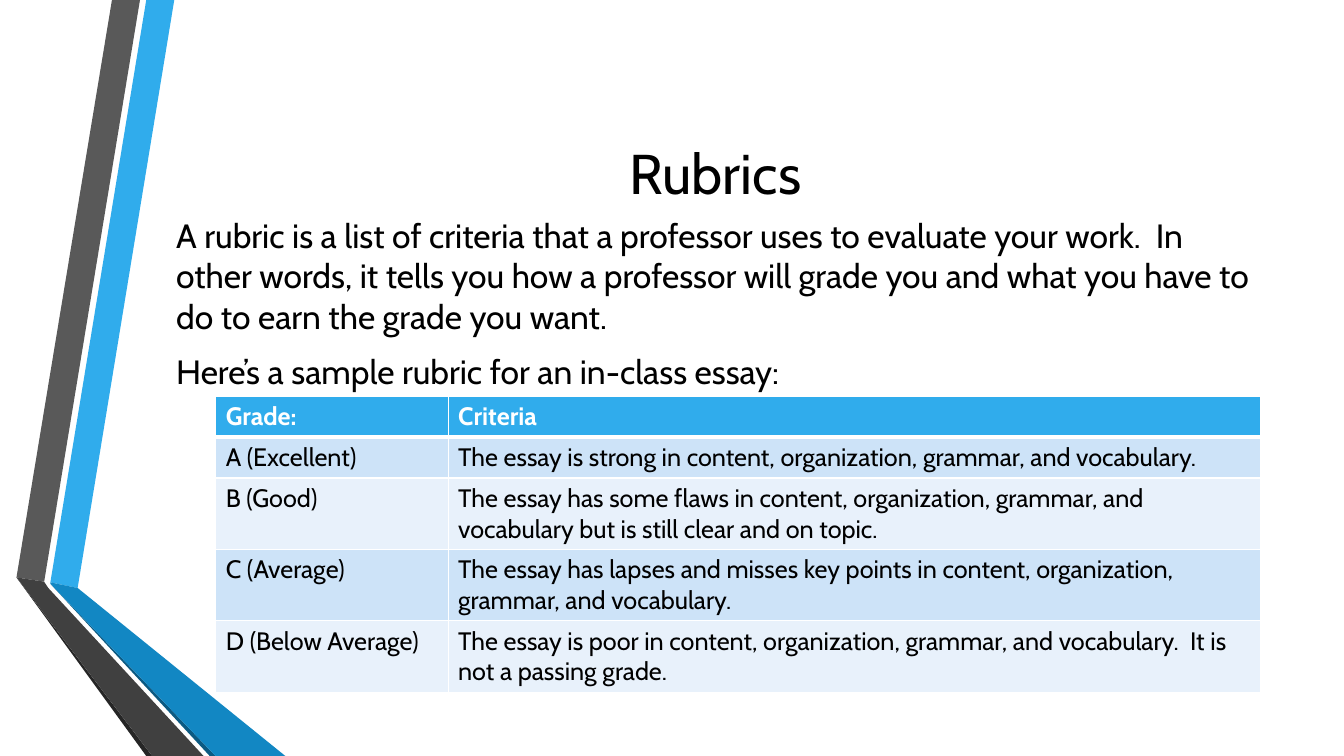
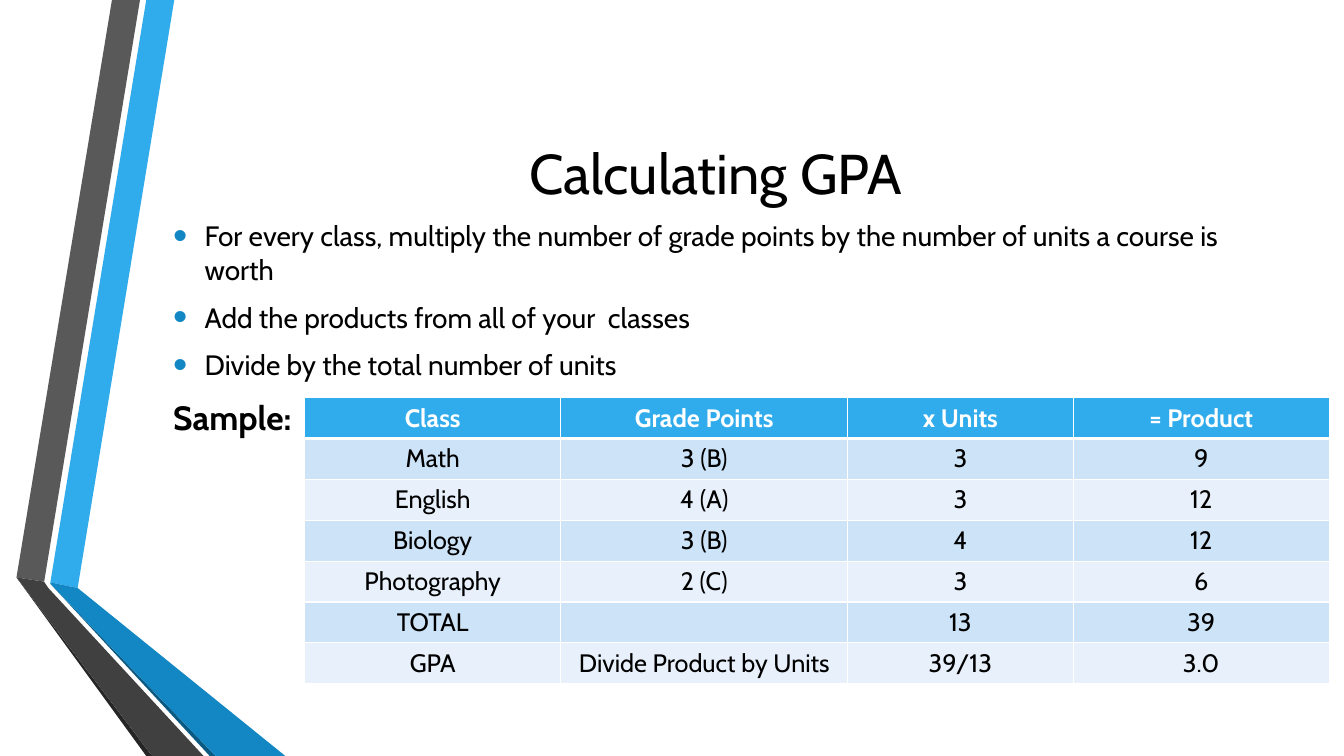
"""Build two slides on grading: a sample rubric and a GPA calculation."""
from lxml.etree import SubElement
from pptx import Presentation
from pptx.dml.color import RGBColor
from pptx.enum.text import MSO_ANCHOR, PP_ALIGN
from pptx.oxml.ns import qn
from pptx.util import Pt

FONT = "Cabin"
COLORS = {
    "text": "000000", "white": "FFFFFF", "blue": "30ACEC", "deep": "1287C3",
    "navy": "0C5A82", "gray": "595959", "charcoal": "404040", "black": "262626",
    "odd": "CDE3F8", "even": "E8F1FB",
}
RIBBONS = [
    ("blue", [(36, 416), (55.5, 420), (124.5, 0), (104.5, 0)]),
    ("gray", [(100, 0), (80, 0), (11.8, 412.5), (31.6, 415.5)]),
    ("black", [(11.8, 412.5), (104.5, 540), (108.7, 540)]),
    ("navy", [(36, 417), (149.8, 540), (154, 540)]),
    ("deep", [(36, 416), (36, 417), (154, 540), (203.8, 540), (55.5, 420)]),
    ("charcoal", [(145.4, 540), (34.5, 420), (31.5, 415.5), (11.8, 412.5), (108.7, 540)]),
]
TITLE_BOX = (116.6, 54, 789, 138)
ROW_HEIGHT, TALL_ROW_HEIGHT = 29.2, 51
PLAIN, BULLET, BOLD = "plain", "bullet", "bold"

SLIDES = [
    {
        "title": "Rubrics",
        "body_box": (118.8, 150, 789, 134),
        "body": [
            (PLAIN, 24, "A rubric is a list of criteria that a professor uses to evaluate your work.  In other words, it tells you how a professor will grade you and what you have to do to earn the grade you want."),
            (PLAIN, 24, "Here’s a sample rubric for an in-class essay:"),
        ],
        "grid_at": (154.1, 283),
        "columns": [166, 580],
        "tall_rows": {2, 3, 4},
        "align": PP_ALIGN.LEFT,
        "rows": [
            ("Grade:", "Criteria"),
            ("A (Excellent)", "The essay is strong in content, organization, grammar, and vocabulary."),
            ("B (Good)", "The essay has some flaws in content, organization, grammar, and vocabulary but is still clear and on topic."),
            ("C (Average)", "The essay has lapses and misses key points in content, organization, grammar, and vocabulary."),
            ("D (Below Average)", "The essay is poor in content, organization, grammar, and vocabulary.  It is not a passing grade."),
        ],
    },
    {
        "title": "Calculating GPA",
        "body_box": (116.6, 152.8, 789, 164),
        "body": [
            (BULLET, 20, "For every class, multiply the number of grade points by the number of units a course is worth"),
            (BULLET, 20, "Add the products from all of your  classes"),
            (BULLET, 20, "Divide by the total number of units"),
            (BOLD, 24, "Sample:"),
        ],
        "grid_at": (217.6, 284),
        "columns": [183, 205, 161, 183],
        "tall_rows": set(),
        "align": PP_ALIGN.CENTER,
        "rows": [
            ("Class", "Grade Points", "x Units", "= Product"),
            ("Math", "3 (B)", "3", "9"),
            ("English", "4 (A)", "3", "12"),
            ("Biology", "3 (B)", "4", "12"),
            ("Photography", "2 (C)", "3", "6"),
            ("TOTAL", "", "13", "39"),
            ("GPA", "Divide Product by Units", "39/13", "3.0"),
        ],
    },
]


def color(name):
    return RGBColor.from_string(COLORS[name])


def style(paragraph, size, ink="text", bold=False):
    font = paragraph.font
    font.name, font.size, font.bold = FONT, Pt(size), bold
    font.color.rgb = color(ink)


def place(shape, box):
    shape.left, shape.top, shape.width, shape.height = map(Pt, box)


def add_ribbons(slide, layout):
    for fill, points in RIBBONS:
        corners = [(Pt(x), Pt(y)) for x, y in points]
        builder = slide.shapes.build_freeform(*corners[0])
        builder.add_line_segments(corners[1:], close=True)
        ribbon = builder.convert_to_shape()
        ribbon.shadow.inherit = False
        ribbon.fill.solid()
        ribbon.fill.fore_color.rgb = color(fill)
        ribbon.line.fill.background()
        layout.shapes.element.append(ribbon.element)


def add_title(slide, text):
    title = slide.shapes.title
    place(title, TITLE_BOX)
    frame = title.text_frame
    frame.text = text
    frame.vertical_anchor = MSO_ANCHOR.MIDDLE
    frame.paragraphs[0].alignment = PP_ALIGN.CENTER
    style(frame.paragraphs[0], 40)


def add_bullet(paragraph):
    props = paragraph._p.get_or_add_pPr()
    props.set("marL", str(Pt(22.5)))
    props.set("indent", str(-Pt(22.5)))
    SubElement(SubElement(props, qn("a:buClr")), qn("a:srgbClr"), val=COLORS["deep"])
    SubElement(props, qn("a:buSzPct"), val="145000")
    SubElement(props, qn("a:buFont"), typeface="Arial")
    SubElement(props, qn("a:buChar"), char="•")


def add_body(slide, box, items):
    frame = slide.shapes.add_textbox(*map(Pt, box)).text_frame
    frame.word_wrap = True
    for index, (kind, size, text) in enumerate(items):
        paragraph = frame.add_paragraph() if index else frame.paragraphs[0]
        paragraph.text = text
        if kind == BULLET:
            add_bullet(paragraph)
        paragraph.space_before = Pt(size * 0.2 if index else 0)
        paragraph.space_after = Pt(6)
        style(paragraph, size, bold=kind == BOLD)


def add_borders(cell, row):
    widths = {"L": 1, "R": 1, "T": 3 if row == 1 else 1, "B": 3 if row == 0 else 1}
    props = cell._tc.get_or_add_tcPr()
    for side, width in widths.items():
        line = SubElement(props, qn(f"a:ln{side}"), w=str(Pt(width)))
        SubElement(SubElement(line, qn("a:solidFill")), qn("a:srgbClr"), val=COLORS["white"])


def add_grid(slide, content):
    rows, columns = content["rows"], content["columns"]
    heights = [TALL_ROW_HEIGHT if row in content["tall_rows"] else ROW_HEIGHT
               for row in range(len(rows))]
    box = (*content["grid_at"], sum(columns), sum(heights))
    grid = slide.shapes.add_table(len(rows), len(columns), *map(Pt, box)).table
    for column, width in zip(grid.columns, columns):
        column.width = Pt(width)
    for row, texts in enumerate(rows):
        grid.rows[row].height = Pt(heights[row])
        header = row == 0
        fill = "blue" if header else "odd" if row % 2 else "even"
        for column, text in enumerate(texts):
            cell = grid.cell(row, column)
            cell.text = text
            add_borders(cell, row)
            cell.fill.solid()
            cell.fill.fore_color.rgb = color(fill)
            paragraph = cell.text_frame.paragraphs[0]
            paragraph.alignment = content["align"]
            style(paragraph, 18, "white" if header else "text", header)


def main():
    deck = Presentation()
    deck.slide_width, deck.slide_height = Pt(960), Pt(540)
    layout = deck.slide_layouts.get_by_name("Title Only")
    for index, content in enumerate(SLIDES):
        slide = deck.slides.add_slide(layout)
        if index == 0:
            add_ribbons(slide, layout)
        add_title(slide, content["title"])
        add_body(slide, content["body_box"], content["body"])
        add_grid(slide, content)
    deck.save("out.pptx")


if __name__ == "__main__":
    main()
